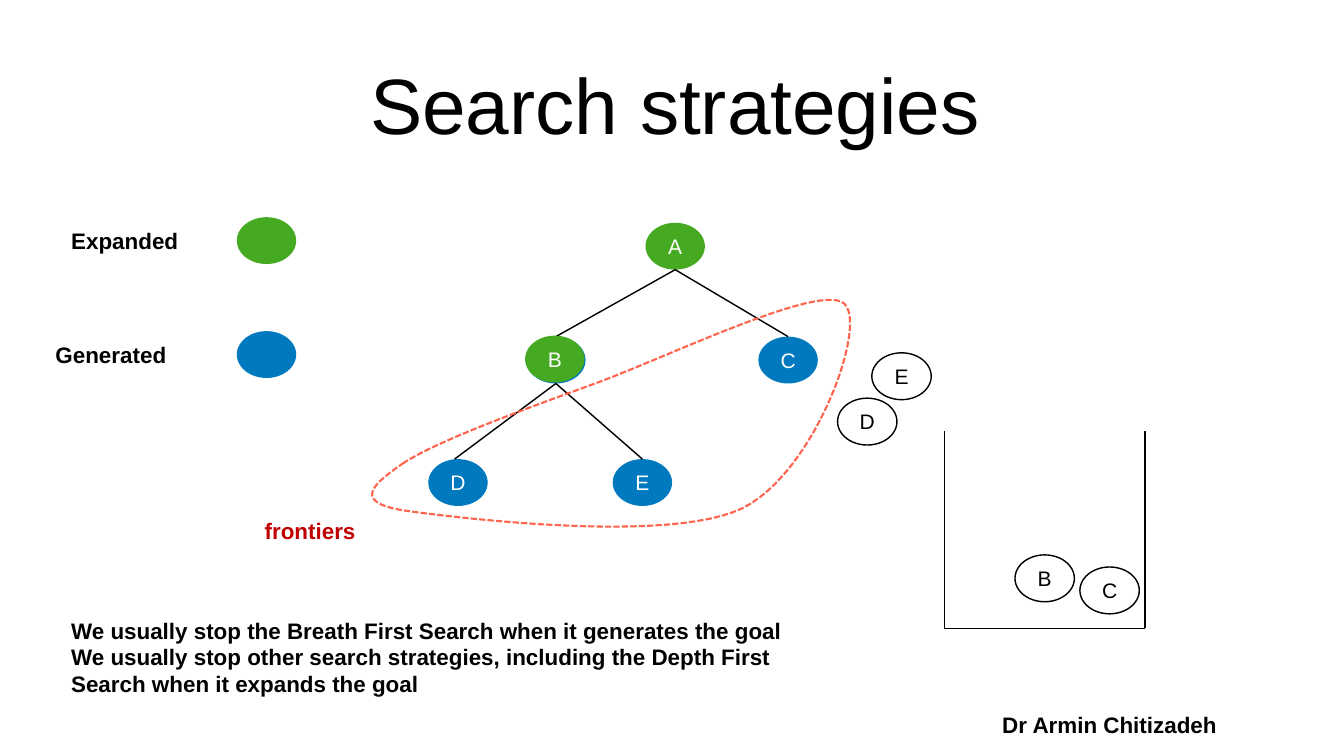
from pptx import Presentation
from pptx.dml.color import RGBColor
from pptx.enum.dml import MSO_LINE_DASH_STYLE as DASH
from pptx.enum.shapes import MSO_CONNECTOR_TYPE as CONN, MSO_SHAPE as SHAPE
from pptx.enum.text import MSO_ANCHOR as ANCHOR, MSO_AUTO_SIZE as FIT, PP_ALIGN as ALIGN
from pptx.oxml.ns import qn
from pptx.util import Inches, Pt

COLORS = {k: RGBColor.from_string(v) for k, v in {
    "black": "000000", "white": "FFFFFF", "expanded": "45AA21",
    "generated": "0079BF", "outline": "FF644E", "frontier": "C00000"}.items()}

prs = Presentation()
prs.slide_width, prs.slide_height = Inches(26.67), Inches(15)
col, row = prs.slide_width / 100, prs.slide_height / 100
node_w, node_h = 4.42, 6.2
s = prs.slides.add_slide(prs.slide_layouts[5])


def write(sp, lines, size, color, bold=False, align=ALIGN.CENTER, wrap=True):
    tf = sp.text_frame
    frame = {"vertical_anchor": ANCHOR.MIDDLE, "word_wrap": wrap, "auto_size": FIT.NONE}
    frame |= {f"margin_{side}": Inches(0.08) for side in ("left", "top", "right", "bottom")}
    for name, value in frame.items():
        setattr(tf, name, value)
    tf.text = "\n".join(lines)
    for p in tf.paragraphs:
        p.alignment = align
        for r in p.runs:
            for name, value in {"name": "Arial", "size": Pt(size), "bold": bold}.items():
                setattr(r.font, name, value)
            r.font.color.rgb = COLORS[color]


def add_node(label, x, y, fill, ink="white"):
    sp = s.shapes.add_shape(SHAPE.OVAL, *map(int, (x * col, y * row, node_w * col, node_h * row)))
    sp.shadow.inherit = False
    sp.fill.solid()
    sp.fill.fore_color.rgb = COLORS[fill]
    if fill == "white":
        sp.line.color.rgb = COLORS["black"]
        sp.line.width = Pt(2)
    else:
        sp.line.fill.background()
    if label:
        write(sp, [label], 30, ink)


title = s.shapes.title
box = {"left": 4.2 * col, "top": 2.6 * row, "width": 92.05 * col, "height": 22.13 * row}
for name, value in box.items():
    setattr(title, name, int(value))
write(title, ["Search strategies"], 112, "black")

add_node("", 17.62, 43.8, "generated")
add_node("", 17.62, 28.73, "expanded")

nodes = {"A": (48.03, 29.47, "expanded"), "B": (39.15, 44.53, "generated"),
         "C": (56.43, 44.53, "generated"), "D": (31.87, 60.73, "generated"),
         "E": (45.59, 60.73, "generated")}
for label, (x, y, fill) in nodes.items():
    add_node(label, x, y, fill)

edges = []
for parent, child, shift in [("A", "B", 0), ("A", "C", 0), ("B", "D", -0.26), ("B", "E", 0)]:
    (x1, y1, _), (x2, y2, _) = nodes[parent], nodes[child]
    edges.append((s.shapes, x1 + node_w / 2, y1 + node_h, x2 + node_w / 2 + shift, y2))
left, right, top, bottom = 70.27, 85.19, 57, 83.13
bin_shapes = s.shapes.add_group_shape().shapes
edges += [(bin_shapes, left, top, left, bottom),
          (bin_shapes, right, top, right, bottom),
          (bin_shapes, right, bottom, left, bottom)]
for shapes, x1, y1, x2, y2 in edges:
    line = shapes.add_connector(CONN.STRAIGHT, *map(int, (x1 * col, y1 * row, x2 * col, y2 * row)))
    line.line.color.rgb = COLORS["black"]
    line.line.width = Pt(2)
    sp_pr = line._element.spPr
    sp_pr.append(sp_pr.makeelement(qn("a:effectLst"), {}))

for label, x, y in [("B", 75.52, 73.4), ("C", 80.35, 75), ("D", 62.32, 52.67), ("E", 64.87, 46.67)]:
    add_node(label, x, y, "white", "black")

start = (29.96, 61.33)
curves = [((32.28, 58.53), (38.7, 54.33), (44.17, 50.8)),
          ((49.64, 47.27), (60.97, 37.4), (62.8, 40.13)),
          ((64.64, 42.87), (60.59, 62.67), (55.19, 67.27)),
          ((49.76, 71.87), (34.53, 68.6), (30.33, 67.6)),
          ((26.13, 66.53), (27.67, 64.13), start)]
points, steps = [start], 24
for c1, c2, end in curves:
    begin = points[-1]
    for i in range(1, steps + 1):
        t = i / steps
        weights = ((1 - t) ** 3, 3 * t * (1 - t) ** 2, 3 * t ** 2 * (1 - t), t ** 3)
        points.append(tuple(sum(w * q[axis] for w, q in zip(weights, (begin, c1, c2, end)))
                            for axis in (0, 1)))
points = [(int(x * col), int(y * row)) for x, y in points]
builder = s.shapes.build_freeform(*points[0])
builder.add_line_segments(points[1:-1], close=True)
frontier = builder.convert_to_shape()
frontier.shadow.inherit = False
frontier.fill.background()
frontier.line.color.rgb = COLORS["outline"]
for name, value in {"width": Pt(3), "dash_style": DASH.SQUARE_DOT}.items():
    setattr(frontier.line, name, value)

add_node("B", 39.07, 44.4, "expanded")

notes = ["We usually stop the Breath First Search when it generates the goal",
         "We usually stop other search strategies, including the Depth First Search when it expands the goal"]
labels = [(["Expanded"], 4.99, 29.47, 8.59, 4.67, "black", ALIGN.CENTER, False),
          (["Generated"], 3.75, 44.53, 9, 4.67, "black", ALIGN.CENTER, False),
          (["frontiers"], 16.57, 67.8, 13.01, 4.67, "frontier", ALIGN.CENTER, True),
          (notes, 4.99, 81, 58.27, 11.8, "black", ALIGN.LEFT, True),
          (["Dr Armin Chitizadeh"], 74.2, 93.53, 16.72, 4.67, "black", ALIGN.CENTER, False)]
for lines, x, y, w, h, color, align, wrap in labels:
    sp = s.shapes.add_textbox(*map(int, (x * col, y * row, w * col, h * row)))
    write(sp, lines, 32, color, True, align, wrap)

prs.save("out.pptx")
